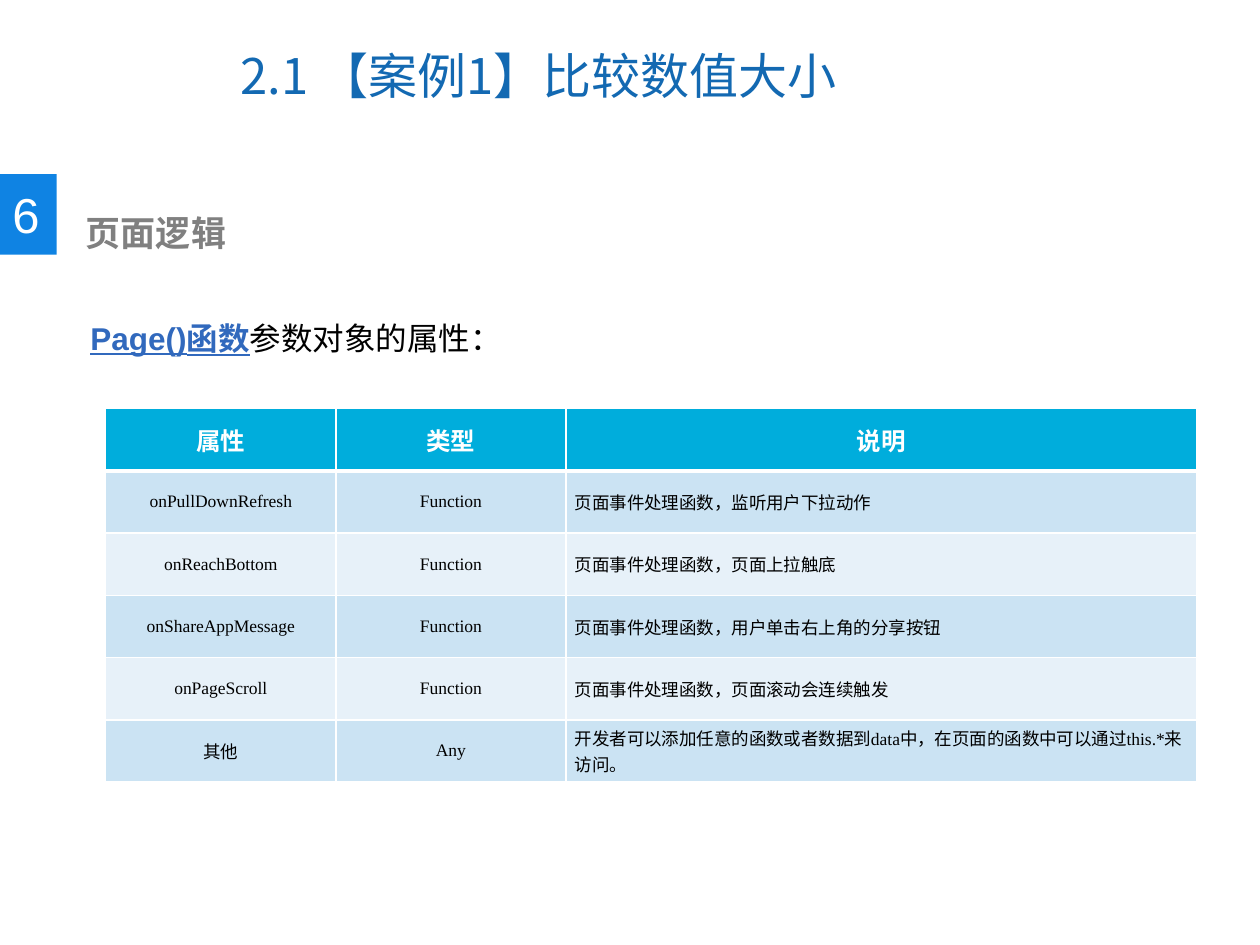
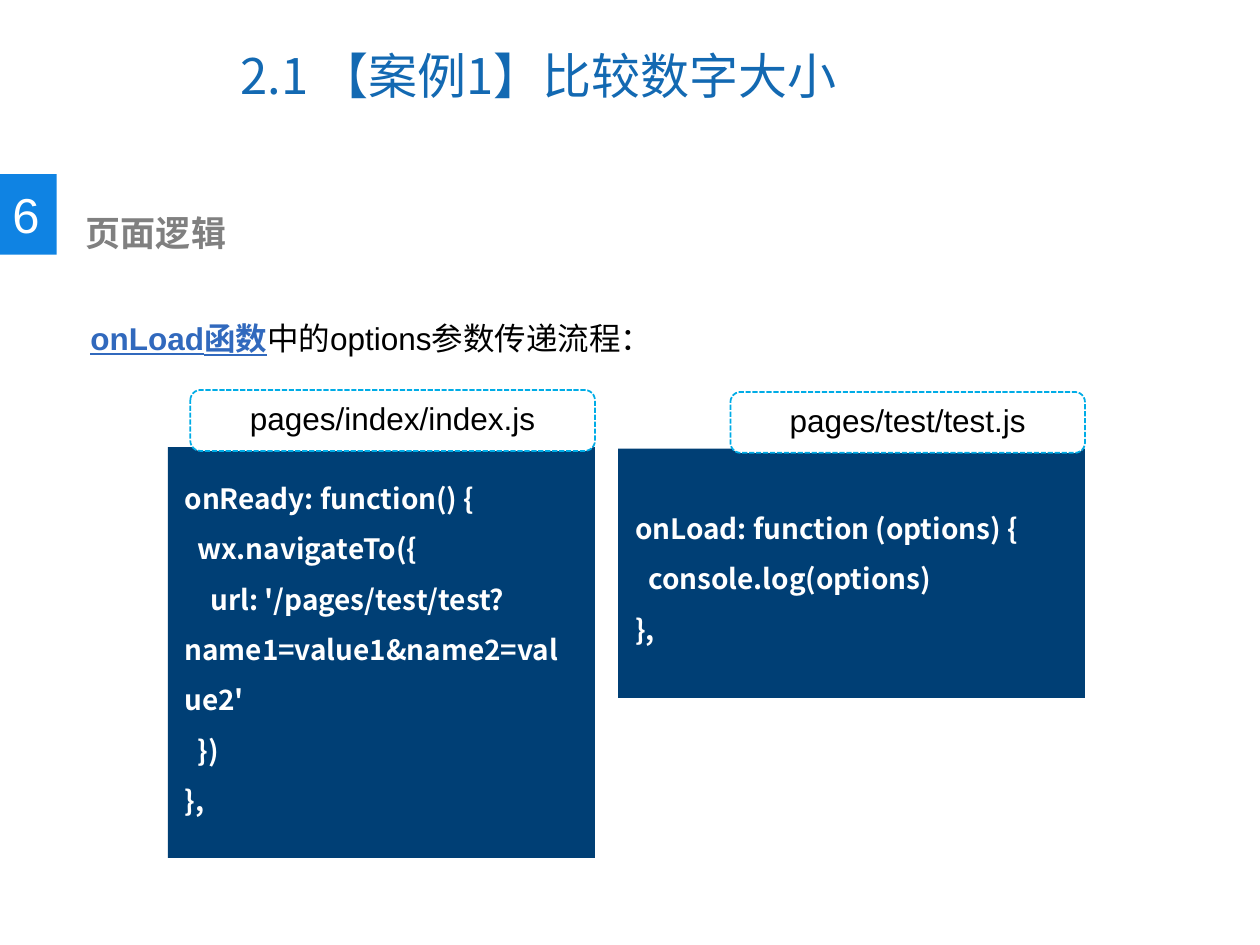
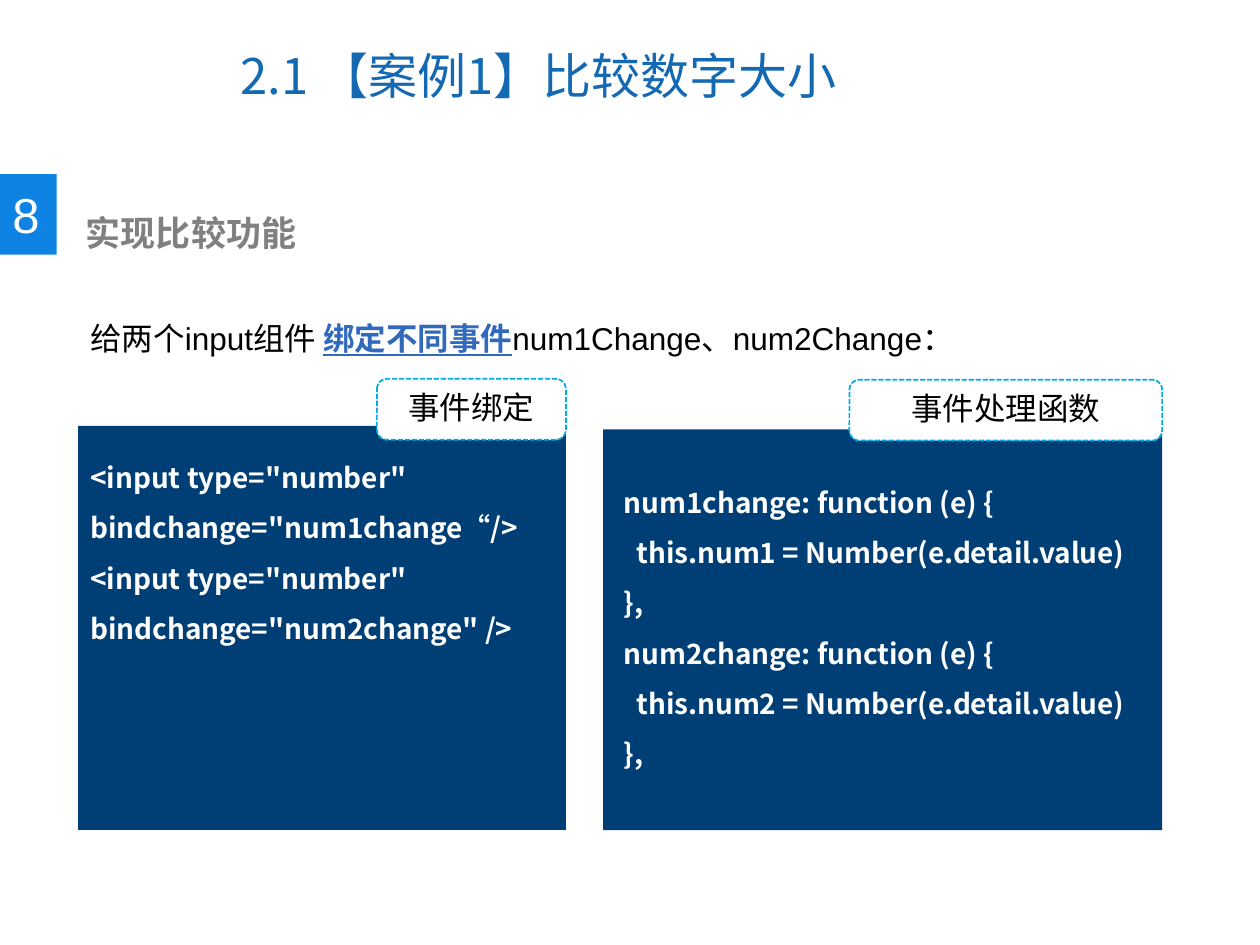
from lxml.etree import SubElement
from pptx import Presentation
from pptx.dml.color import RGBColor
from pptx.enum.dml import MSO_LINE
from pptx.enum.shapes import MSO_SHAPE
from pptx.enum.text import MSO_ANCHOR, PP_ALIGN
from pptx.oxml.ns import qn
from pptx.util import Pt

COLORS = {
    "title": "1369B2", "badge": "0F83E3", "heading": "808080",
    "key": "3169BD", "text": "000000", "white": "FFFFFF",
    "code": "003F75", "tab": "00ACE6",
    "header": "00ADDC", "odd": "CBE3F3", "even": "E7F1F9",
}
CJK = "Noto Sans CJK SC"

# Text formats: font values plus the typeface and colour
TITLE = {"size": Pt(28), "name": CJK, "color": "title"}
NUMBER = {"size": Pt(28), "name": "Arial", "color": "white"}
HEADING = {"size": Pt(20), "name": CJK, "color": "heading", "bold": True}
PLAIN = {"size": Pt(18), "name": "Arial", "color": "text"}
KEY = {**PLAIN, "color": "key", "bold": True, "underline": True}
CODE = {"size": Pt(16), "name": CJK, "color": "white", "bold": True}
HEAD_CELL = {"size": Pt(14), "name": "Times New Roman", "color": "white", "bold": True}
BODY_CELL = {"size": Pt(10), "name": "Times New Roman", "color": "text", "bold": False}

CODE_STEP = 7.4  # indent of one code level


def rgb(name):
    return RGBColor.from_string(COLORS[name])


def add_run(p, text, fmt):
    r = p.add_run()
    r.text = text
    for key, value in fmt.items():
        if key == "color":
            r.font.color.rgb = rgb(value)
        else:
            setattr(r.font, key, value)
    SubElement(r._r.get_or_add_rPr(), qn("a:ea")).set("typeface", CJK)


def add_text(slide, box, runs, spacing=None, anchor=MSO_ANCHOR.TOP):
    """One-paragraph text box made of (text, format) runs."""
    tf = slide.shapes.add_textbox(*map(Pt, box)).text_frame
    tf.word_wrap = True
    tf.vertical_anchor = anchor
    p = tf.paragraphs[0]
    if spacing:
        p.line_spacing = spacing
    for text, fmt in runs:
        add_run(p, text, fmt)


def add_block(slide, kind, box, fill):
    sp = slide.shapes.add_shape(kind, *map(Pt, box))
    sp.shadow.inherit = False
    sp.fill.solid()
    sp.fill.fore_color.rgb = rgb(fill)
    sp.line.fill.background()
    return sp


def add_code(slide, panel, box, lines):
    """Dark panel with code given as (level, text) lines."""
    add_block(slide, MSO_SHAPE.RECTANGLE, panel, "code")
    tf = slide.shapes.add_textbox(*map(Pt, box)).text_frame
    tf.word_wrap = True
    for i, (level, text) in enumerate(lines):
        p = tf.add_paragraph() if i else tf.paragraphs[0]
        p.line_spacing = 1.5
        p._p.get_or_add_pPr().set("indent", str(Pt(level * CODE_STEP)))
        add_run(p, text, CODE)


def add_tab(slide, left, top, width, text):
    """Dashed label that sits on the top edge of a code panel."""
    sp = add_block(slide, MSO_SHAPE.ROUNDED_RECTANGLE, (left, top, width, 34.8), "white")
    sp.line.color.rgb = rgb("tab")
    sp.line.width = Pt(1)
    sp.line.dash_style = MSO_LINE.SQUARE_DOT
    tf = sp.text_frame
    tf.vertical_anchor = MSO_ANCHOR.TOP
    p = tf.paragraphs[0]
    p.alignment = PP_ALIGN.CENTER
    add_run(p, text, PLAIN)


def set_borders(cell, top, bottom):
    tcPr = cell._tc.get_or_add_tcPr()
    sides = {"a:lnL": 1, "a:lnR": 1, "a:lnT": top, "a:lnB": bottom}
    for i, (tag, width) in enumerate(sides.items()):
        ln = SubElement(tcPr, qn(tag), w=str(Pt(width)))
        fill = SubElement(ln, qn("a:solidFill"))
        SubElement(fill, qn("a:srgbClr"), val=COLORS["white"])
        tcPr.insert(i, ln)


def add_grid(slide, left, top, widths, row_height, rows):
    frame = slide.shapes.add_table(
        len(rows), len(widths), Pt(left), Pt(top),
        Pt(sum(widths)), Pt(row_height * len(rows)))
    table = frame.table
    for column, width in zip(table.columns, widths):
        column.width = Pt(width)
    for i, row in enumerate(rows):
        table.rows[i].height = Pt(row_height)
        fill = "header" if i == 0 else "odd" if i % 2 else "even"
        inset = Pt(5) if i else Pt(5.8)
        layout = {"vertical_anchor": MSO_ANCHOR.MIDDLE, "margin_left": inset,
                  "margin_right": inset, "margin_top": 0, "margin_bottom": 0}
        for j, text in enumerate(row):
            cell = table.cell(i, j)
            for key, value in layout.items():
                setattr(cell, key, value)
            cell.fill.solid()
            cell.fill.fore_color.rgb = rgb(fill)
            set_borders(cell, 3 if i == 1 else 1, 3 if i == 0 else 1)
            p = cell.text_frame.paragraphs[0]
            p.alignment = PP_ALIGN.LEFT if i and j == 2 else PP_ALIGN.CENTER
            add_run(p, text, BODY_CELL if i else HEAD_CELL)


def add_page(prs, title, number, heading, lead):
    """Slide with the shared title, number badge, heading and lead line."""
    slide = prs.slides.add_slide(prs.slide_layouts[6])
    add_text(slide, (130.5, 12.2, 371.5, 61.2), [(title, TITLE)], anchor=MSO_ANCHOR.MIDDLE)
    add_block(slide, MSO_SHAPE.RECTANGLE, (0, 99.5, 32.4, 46), "badge")
    add_text(slide, (0, 102.2, 30.2, 41), [(number, NUMBER)])
    add_text(slide, (42, 117.4, 362, 31.7), [(heading, HEADING)])
    add_text(slide, (44.6, 157, 622.8, 51), lead, spacing=2)
    return slide


def main():
    prs = Presentation()
    prs.slide_width, prs.slide_height = Pt(720), Pt(540)

    # Page() properties
    slide = add_page(prs, "2.1 【案例1】比较数值大小", "6", "页面逻辑",
                     [("Page()函数", KEY), ("参数对象的属性：", PLAIN)])
    add_grid(slide, 60.4, 233.5, (131.5, 131.5, 360.5), 35.6, [
        ("属性", "类型", "说明"),
        ("onPullDownRefresh", "Function", "页面事件处理函数，监听用户下拉动作"),
        ("onReachBottom", "Function", "页面事件处理函数，页面上拉触底"),
        ("onShareAppMessage", "Function", "页面事件处理函数，用户单击右上角的分享按钮"),
        ("onPageScroll", "Function", "页面事件处理函数，页面滚动会连续触发"),
        ("其他", "Any", "开发者可以添加任意的函数或者数据到data中，"
                      "在页面的函数中可以通过this.*来访问。"),
    ])

    # Passing options to onLoad
    slide = add_page(prs, "2.1 【案例1】比较数字大小", "6", "页面逻辑",
                     [("onLoad函数", KEY), ("中的options参数传递流程：", PLAIN)])
    add_code(slide, (96, 255.5, 244, 234.8), (98.4, 262, 237, 183), [
        (0, "onReady: function() {"),
        (1, "wx.navigateTo({"),
        (2, "url: '/pages/test/test?name1=value1&name2=value2'"),
        (1, "})"),
        (0, "},"),
    ])
    add_code(slide, (353.2, 256.4, 266.8, 142.4), (356, 279.2, 263.5, 105), [
        (0, "onLoad: function (options) {"),
        (1, "console.log(options)"),
        (0, "},"),
    ])
    add_tab(slide, 108.8, 222.9, 231.2, "pages/index/index.js")
    add_tab(slide, 417.4, 224, 202.6, "pages/test/test.js")

    # Binding change events
    slide = add_page(prs, "2.1 【案例1】比较数字大小", "8", "实现比较功能",
                     [("给两个input组件 ", PLAIN), ("绑定不同事件", KEY),
                      ("num1Change、num2Change：", PLAIN)])
    add_code(slide, (44.6, 243.4, 278.8, 230.9), (44.6, 250, 271.5, 124), [
        (0, '<input type="number" bindchange="num1change“/>'),
        (0, '<input type="number" bindchange="num2change" />'),
    ])
    add_code(slide, (344.6, 245.3, 319.5, 229), (349.2, 264.2, 330.5, 200), [
        line for n in (1, 2) for line in (
            (0, f"num{n}change: function (e) {{"),
            (1, f"this.num{n} = Number(e.detail.value)"),
            (0, "},"))
    ])
    add_tab(slide, 215.4, 216.5, 108, "事件绑定")
    add_tab(slide, 485.4, 217, 178.7, "事件处理函数")

    prs.save("out.pptx")


if __name__ == "__main__":
    main()
